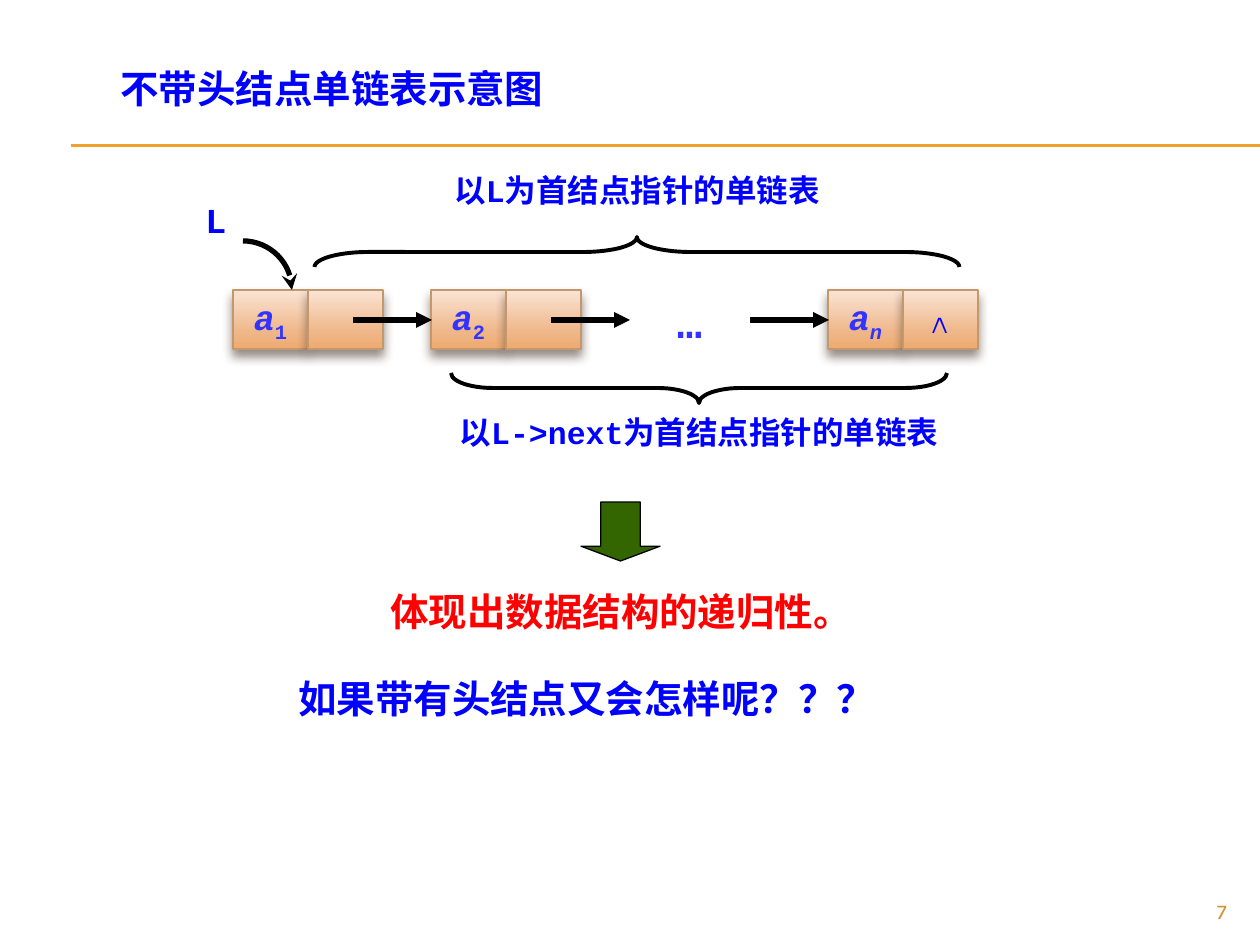
from math import cos, pi, sin

from lxml.etree import SubElement
from pptx import Presentation
from pptx.dml.color import RGBColor
from pptx.enum.shapes import MSO_CONNECTOR, MSO_SHAPE
from pptx.enum.text import MSO_ANCHOR, MSO_AUTO_SIZE, PP_ALIGN
from pptx.oxml import parse_xml
from pptx.oxml.ns import nsdecls, qn
from pptx.util import Emu, Pt

FONT = "Courier New"
BLUE, VIOLET, RED, BLACK, GOLD = "0000FF", "3333FF", "FF0000", "000000", "F0A22E"
LEFT, CENTER, RIGHT = PP_ALIGN.LEFT, PP_ALIGN.CENTER, PP_ALIGN.RIGHT

# Content: places are px, 126 to the inch
TITLE = ("不带头结点单链表示意图", (108, 59, 502, 59))
LABELS = [  # text, place, size, colour, alignment, font
    ("L", (193, 192, 59, 55), 20, BLUE, LEFT, FONT),
    ("…", (650, 290, 79, 63), 24, VIOLET, CENTER, FONT),
    ("以L为首结点指针的单链表", (369, 165, 536, 50), 18, BLUE, CENTER, FONT),
    ("以L->next为首结点指针的单链表", (357, 407, 684, 50), 18, BLUE, CENTER, FONT),
    ("体现出数据结构的递归性。", (353, 582, 536, 59), 22, RED, CENTER, FONT),
    ("如果带有头结点又会怎样呢？？？", (286, 669, 663, 59), 22, BLUE, LEFT, FONT),
    ("7", (1134, 892, 105, 34), 12, "D48F29", RIGHT, "Karla"),
]
NODES = [(233, "1", False, ""), (431, "2", False, ""), (828, "n", True, "∧")]
CELL_WIDTH, CELL_HEIGHT, CELL_TOP = 75, 59, 290
LINKS, LINK_LENGTH, LINK_Y = (353, 551, 750), 79, 320
BRACES = [  # centre x, centre y, span, rotation, curl
    (699, 388, 496, 90, 1.39),
    (637, 252, 645, 270, 1.81),
]
BRACE_DEPTH = 30
POINTER_START, POINTER_RADIUS, POINTER_STEPS = (243, 241), 49, 16
RULES, RULE_LEFT = (145, 146), 71

CELL_GRADIENT = [(0, "FAE4D5"), (72, "EFB688"), (100, "EFAA6F")]


def px(length):
    return Emu(round(length * 914400 / 126))


def color(value):
    return RGBColor.from_string(value)


def add_span(para, text, size, shade, font=FONT, bold=True, italic=False, baseline=0):
    span = para.add_run()
    span.text = text
    span.font.name, span.font.size = font, Pt(size)
    span.font.bold, span.font.italic = bold, italic
    span.font.color.rgb = color(shade)
    if baseline:
        span.font._element.set("baseline", str(baseline * 1000))


def place(shape, frame):
    shape.left, shape.top, shape.width, shape.height = map(px, frame)


def set_line(shape, shade, width, tail=None):
    shape.line.color.rgb = color(shade)
    shape.line.width = Pt(width)
    if tail:
        SubElement(shape.line._get_or_add_ln(), qn("a:tailEnd"), type=tail)


def add_line(page, start, end, shade, width, tail=None):
    line = page.shapes.add_connector(MSO_CONNECTOR.STRAIGHT, *map(px, start + end))
    set_line(line, shade, width, tail)
    SubElement(line._element.spPr, qn("a:effectLst"))


def add_shape(page, kind, frame, shade, width):
    shape = page.shapes.add_shape(kind, *map(px, frame))
    shape.shadow.inherit = False
    set_line(shape, shade, width)
    return shape


def add_cell(page, left):
    cell = add_shape(page, MSO_SHAPE.RECTANGLE,
                     (left, CELL_TOP, CELL_WIDTH, CELL_HEIGHT), "C3986D", 0.79)
    # Three gradient stops and a soft shadow
    stops = "".join(f'<a:gs pos="{at * 1000}"><a:srgbClr val="{shade}"/></a:gs>'
                    for at, shade in CELL_GRADIENT)
    properties = cell._element.spPr
    properties.find(qn("a:ln")).addprevious(parse_xml(
        f'<a:gradFill {nsdecls("a")} rotWithShape="1"><a:gsLst>{stops}</a:gsLst>'
        '<a:lin ang="5400000" scaled="0"/></a:gradFill>'))
    properties.find(qn("a:effectLst")).append(parse_xml(
        f'<a:outerShdw {nsdecls("a")} blurRad="{Pt(6)}" dist="{Pt(4)}" dir="5400000" '
        'rotWithShape="0"><a:srgbClr val="4E3B30"><a:alpha val="60000"/></a:srgbClr>'
        '</a:outerShdw>'))
    frame = cell.text_frame
    frame.word_wrap = False
    frame.vertical_anchor = MSO_ANCHOR.MIDDLE
    para = frame.paragraphs[0]
    para.alignment = CENTER
    return para


def add_pointer(page):
    x, y = POINTER_START
    angles = [step * pi / 2 / POINTER_STEPS for step in range(POINTER_STEPS + 1)]
    points = [(px(x + POINTER_RADIUS * sin(a)), px(y + POINTER_RADIUS * (1 - cos(a))))
              for a in angles]
    builder = page.shapes.build_freeform(*points[0])
    builder.add_line_segments(points[1:], close=False)
    curve = builder.convert_to_shape()
    curve.shadow.inherit = False
    curve.fill.background()
    set_line(curve, BLACK, 3, "stealth")


def main():
    deck = Presentation()
    deck.slide_width, deck.slide_height = px(1260), px(945)
    page = deck.slides.add_slide(deck.slide_layouts[5])

    # Rules and title
    for y in RULES:
        add_line(page, (RULE_LEFT, y), (1260, y), GOLD, 0.75)
    text, frame = TITLE
    title = page.shapes.title
    place(title, frame)
    title.text_frame.auto_size = MSO_AUTO_SIZE.NONE
    title.text_frame.vertical_anchor = MSO_ANCHOR.TOP
    para = title.text_frame.paragraphs[0]
    para.alignment = LEFT
    add_span(para, text, 22, BLUE)

    # List nodes: a data cell and a pointer cell each
    for left, index, italic, pointer in NODES:
        para = add_cell(page, left)
        add_span(para, "a", 20, VIOLET, italic=True)
        add_span(para, index, 20, VIOLET, italic=italic, baseline=-25)
        para = add_cell(page, left + CELL_WIDTH)
        if pointer:
            add_span(para, pointer, 20, BLUE)

    # Links between nodes and the head pointer
    for x in LINKS:
        add_line(page, (x, LINK_Y), (x + LINK_LENGTH, LINK_Y), BLACK, 3, "triangle")
    add_pointer(page)

    # Braces, turned about their centres
    for x, y, span, rotation, curl in BRACES:
        frame = (x - BRACE_DEPTH / 2, y - span / 2, BRACE_DEPTH, span)
        brace = add_shape(page, MSO_SHAPE.RIGHT_BRACE, frame, BLACK, 2.25)
        brace.fill.background()
        brace.rotation = rotation
        brace.adjustments[0] = curl

    # Conclusion arrow
    arrow = add_shape(page, MSO_SHAPE.DOWN_ARROW, (581, 502, 79, 59), BLACK, 0.75)
    arrow.fill.solid()
    arrow.fill.fore_color.rgb = color("336600")
    arrow.adjustments[1] = 0.25

    # Labels and page number
    for text, frame, size, shade, alignment, font in LABELS:
        box = page.shapes.add_textbox(*map(px, frame))
        box.text_frame.word_wrap = True
        para = box.text_frame.paragraphs[0]
        para.alignment = alignment
        add_span(para, text, size, shade, font, bold=font == FONT)

    deck.save("out.pptx")


if __name__ == "__main__":
    main()
